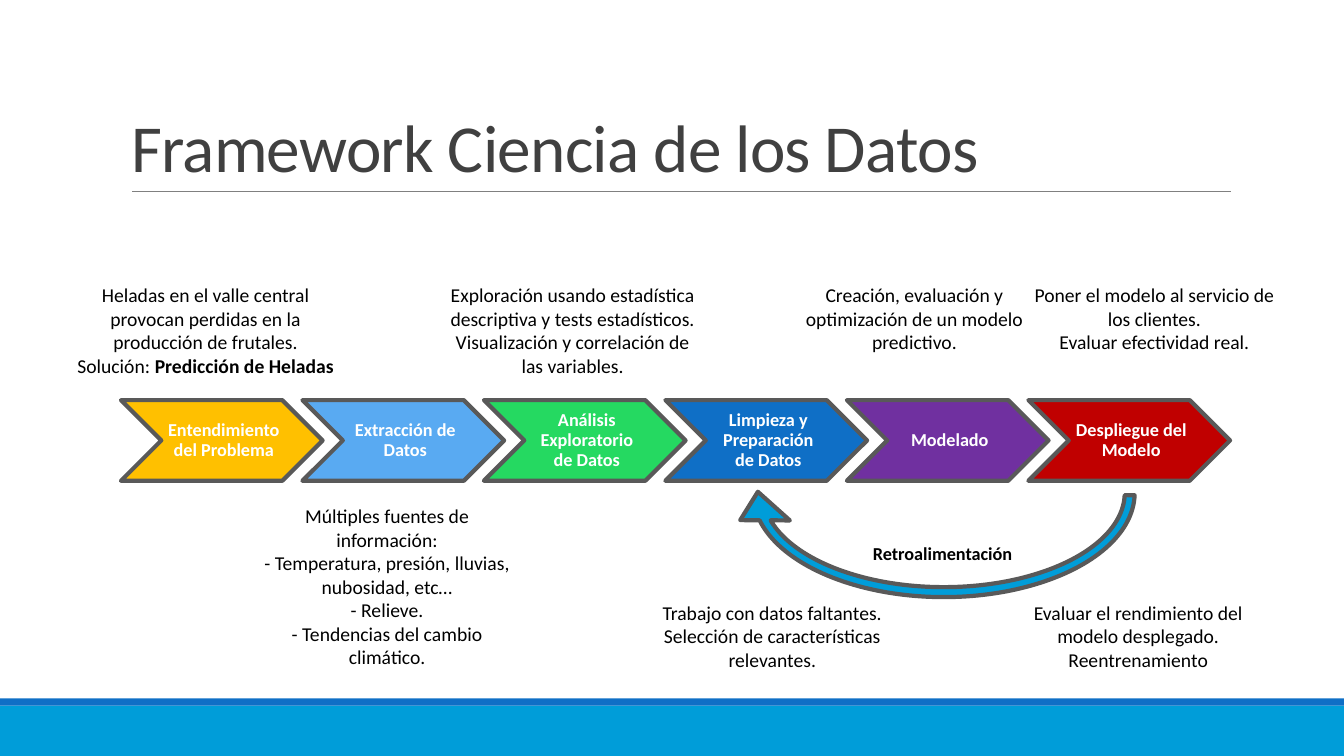
from dataclasses import dataclass

from lxml.etree import SubElement
from pptx import Presentation
from pptx.dml.color import RGBColor
from pptx.enum.shapes import MSO_CONNECTOR, MSO_SHAPE
from pptx.enum.text import MSO_ANCHOR, PP_ALIGN
from pptx.oxml.ns import qn
from pptx.util import Emu, Pt

PX = 9144  # EMU per px, 100 px to the inch
FONT = "Calibri"
COLORS = {
    "band": "009DD9", "stripe": "0F6FC6", "rule": "808080",
    "outline": "595959", "title": "404040", "text": "000000",
    "white": "FFFFFF", "problem": "FFC000", "extraction": "59AAF2",
    "analysis": "25D961", "cleaning": "0F6FC6", "modelling": "7030A0",
    "deployment": "C00000",
}


@dataclass(frozen=True)
class Stage:
    label: str
    color: str


@dataclass(frozen=True)
class Note:
    left: int
    top: int
    width: int
    height: int
    lines: tuple[str, ...]
    bold_ending: str = ""


STAGES = (
    Stage("Entendimiento del Problema", "problem"),
    Stage("Extracción de Datos", "extraction"),
    Stage("Análisis Exploratorio de Datos", "analysis"),
    Stage("Limpieza y Preparación de Datos", "cleaning"),
    Stage("Modelado", "modelling"),
    Stage("Despliegue del Modelo", "deployment"),
)
STAGE_LEFT, STAGE_TOP, STAGE_STEP = 120, 397, 180
STAGE_WIDTH, STAGE_HEIGHT = 200, 80

UPPER, LOWER = 276, 591
NOTES = (
    Note(66, UPPER, 276, 104,
         ("Heladas en el valle central provocan perdidas en la producción de frutales.",
          "Solución: "), "Predicción de Heladas"),
    Note(246, 495, 276, 175,
         ("Múltiples fuentes de información:",
          "- Temperatura, presión, lluvias, nubosidad, etc…",
          "- Relieve.",
          "- Tendencias del cambio climático.")),
    Note(430, UPPER, 276, 104,
         ("Exploración usando estadística descriptiva y tests estadísticos.",
          "Visualización y correlación de las variables.")),
    Note(628, LOWER, 276, 81,
         ("Trabajo con datos faltantes.",
          "Selección de características relevantes.")),
    Note(1008, UPPER, 274, 81,
         ("Poner el modelo al servicio de los clientes.",
          "Evaluar efectividad real.")),
    Note(769, UPPER, 276, 81,
         ("Creación, evaluación y optimización de un modelo predictivo.",)),
    Note(991, LOWER, 276, 81,
         ("Evaluar el rendimiento del modelo desplegado. Reentrenamiento",)),
)


def px(*lengths: int) -> list[Emu]:
    return [Emu(length * PX) for length in lengths]


def rgb(name: str) -> RGBColor:
    return RGBColor.from_string(COLORS[name])


def style_runs(paragraph, size: int, color: str, bold: bool = False) -> None:
    for run in paragraph.runs:
        run.font.name = FONT
        run.font.size = Pt(size)
        run.font.bold = bold
        run.font.color.rgb = rgb(color)


def add_filled(slide, kind: MSO_SHAPE, box: tuple[int, ...], fill: str,
               outlined: bool = True):
    shape = slide.shapes.add_shape(kind, *px(*box))
    shape.shadow.inherit = False
    shape.fill.solid()
    shape.fill.fore_color.rgb = rgb(fill)
    if outlined:
        shape.line.color.rgb = rgb("outline")
        shape.line.width = Pt(3)
    else:
        shape.line.fill.background()
    return shape


def add_stage(slide, index: int, stage: Stage) -> None:
    box = (STAGE_LEFT + index * STAGE_STEP, STAGE_TOP, STAGE_WIDTH, STAGE_HEIGHT)
    frame = add_filled(slide, MSO_SHAPE.CHEVRON, box, stage.color).text_frame
    frame.margin_left, frame.margin_top, frame.margin_right, frame.margin_bottom = px(6, 2, 2, 2)
    frame.vertical_anchor = MSO_ANCHOR.MIDDLE
    frame.word_wrap = True
    frame.text = stage.label
    label = frame.paragraphs[0]
    label.alignment = PP_ALIGN.CENTER
    label.line_spacing = 0.9
    style_runs(label, 13, "white", bold=True)


def add_note(slide, note: Note) -> None:
    frame = slide.shapes.add_textbox(
        *px(note.left, note.top, note.width, note.height)).text_frame
    frame.word_wrap = True
    frame.text = "\n".join(note.lines)
    for paragraph in frame.paragraphs:
        paragraph.alignment = PP_ALIGN.CENTER
        style_runs(paragraph, 14, "text")
    if note.bold_ending:
        ending = frame.paragraphs[-1].add_run()
        ending.text = note.bold_ending
        style_runs(frame.paragraphs[-1], 14, "text")
        ending.font.bold = True


def add_title(slide) -> None:
    title = slide.shapes.title
    title.left, title.top, title.width, title.height = px(120, 31, 1100, 159)
    frame = title.text_frame
    frame.text = "Framework Ciencia de los Datos"
    frame.vertical_anchor = MSO_ANCHOR.BOTTOM
    heading = frame.paragraphs[0]
    heading.alignment = PP_ALIGN.LEFT
    heading.line_spacing = 0.85
    style_runs(heading, 48, "title")
    heading.runs[0].font._element.set("spc", "-50")


def add_frame(slide) -> None:
    add_filled(slide, MSO_SHAPE.RECTANGLE, (0, 700, 1333, 50), "band", outlined=False)
    add_filled(slide, MSO_SHAPE.RECTANGLE, (0, 693, 1333, 7), "stripe", outlined=False)
    rule = slide.shapes.add_connector(MSO_CONNECTOR.STRAIGHT, *px(131, 190, 1221, 190))
    rule.line.color.rgb = rgb("rule")
    rule.line.width = Pt(0.5)
    SubElement(rule._element.spPr, qn("a:effectLst"))


def add_feedback(slide) -> None:
    arrow = add_filled(slide, MSO_SHAPE.CIRCULAR_ARROW, (727, 366, 418, 246), "band")
    arrow.rotation = 180
    for index, value in enumerate((0.04, 5.44, 210.78, 108.41, 0.1)):
        arrow.adjustments[index] = value
    frame = slide.shapes.add_textbox(*px(856, 533, 160, 32)).text_frame
    frame.word_wrap = False
    frame.text = "Retroalimentación"
    style_runs(frame.paragraphs[0], 13, "text", bold=True)


def main() -> None:
    deck = Presentation()
    deck.slide_width, deck.slide_height = px(1333, 750)
    slide = deck.slides.add_slide(deck.slide_layouts[5])

    # Title and slide frame
    add_frame(slide)
    add_title(slide)

    # Process stages
    for index, stage in enumerate(STAGES):
        add_stage(slide, index, stage)

    # Explanations and feedback loop
    for note in NOTES:
        add_note(slide, note)
    add_feedback(slide)

    deck.save("out.pptx")


if __name__ == "__main__":
    main()
